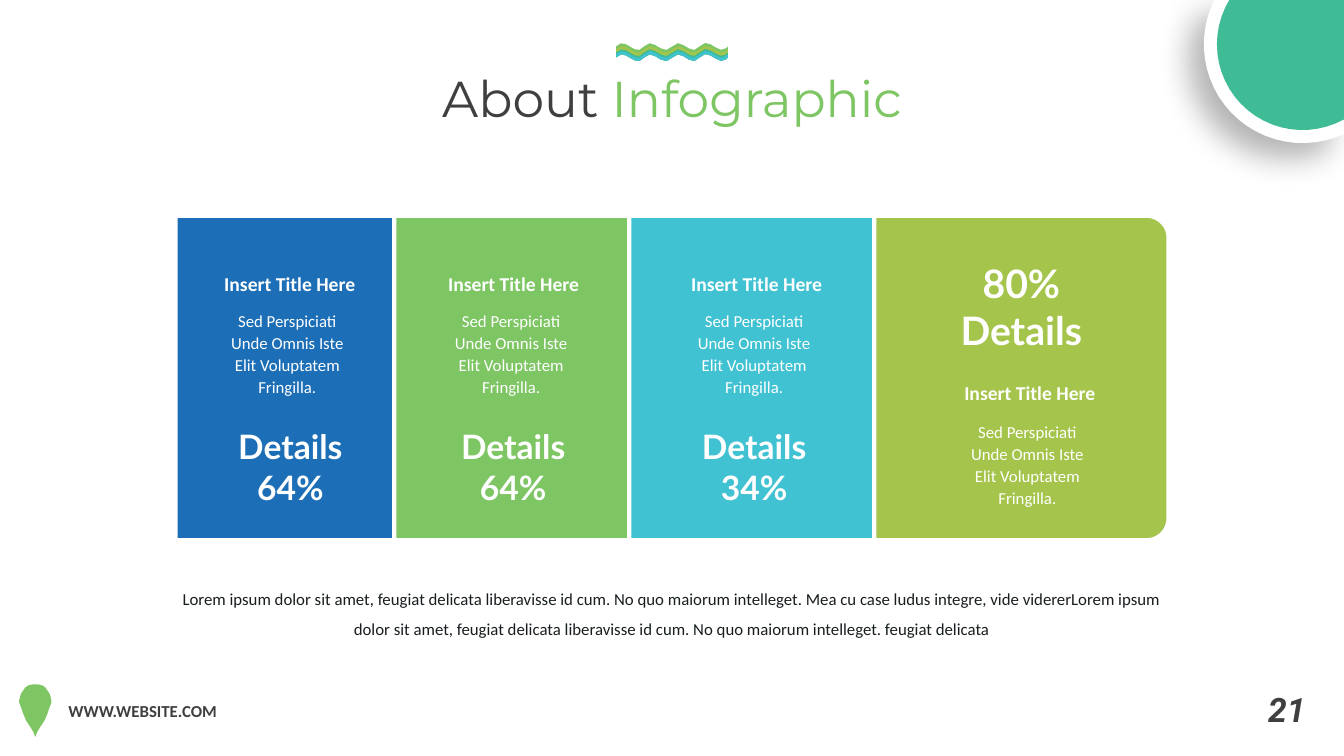
"""Build the "About Infographic" slide with four overlapping cards."""
from dataclasses import dataclass
from math import acos, asin, cos, pi, sin

from lxml.etree import SubElement
from pptx import Presentation
from pptx.dml.color import RGBColor
from pptx.enum.shapes import MSO_SHAPE
from pptx.enum.text import MSO_AUTO_SIZE, PP_ALIGN
from pptx.oxml.ns import qn
from pptx.util import Inches, Pt


@dataclass(frozen=True)
class Theme:
    white: str = "FFFFFF"
    black: str = "000000"
    grey: str = "3F3F3F"
    ink: str = "181E20"
    green: str = "7EC564"
    lime: str = "A5C44B"
    teal: str = "3FBC96"
    cyan: str = "40C2D2"
    blue: str = "1C6EB6"
    title_size: int = 36
    highlight_size: int = 28
    figure_size: int = 24
    heading_size: int = 14
    body_size: int = 12
    body_font: str = "Calibri"
    figure_font: str = "Lato"
    title_font: str = "Montserrat"
    number_font: str = "Roboto"


theme = Theme()
deck = Presentation()
deck.slide_width = Inches(13.33)
deck.slide_height = Inches(7.5)
page = deck.slides.add_slide(deck.slide_layouts[6])


def write(place, lines, size, font, bold=False, italic=False, wrap=True,
          align=PP_ALIGN.CENTER, spacing=1.0):
    """Add a text box; each line is a list of (text, colour) runs."""
    box = page.shapes.add_textbox(*[Inches(length) for length in place])
    frame = box.text_frame
    frame.word_wrap = wrap
    frame.auto_size = MSO_AUTO_SIZE.SHAPE_TO_FIT_TEXT
    for index, line in enumerate(lines):
        para = frame.paragraphs[0] if index == 0 else frame.add_paragraph()
        para.alignment = align
        para.line_spacing = spacing
        for text, colour in line:
            span = para.add_run()
            span.text = text
            span.font.size = Pt(size)
            span.font.name = font
            span.font.bold = bold
            span.font.italic = italic
            span.font.color.rgb = RGBColor.from_string(colour)


def outline(points, colour):
    """Add a filled closed shape through points given in inches."""
    corners = [(Inches(x), Inches(y)) for x, y in points]
    builder = page.shapes.build_freeform(*corners[0])
    builder.add_line_segments(corners[1:], close=True)
    shape = builder.convert_to_shape()
    shape.shadow.inherit = False
    shape.fill.solid()
    shape.fill.fore_color.rgb = RGBColor.from_string(colour)
    shape.line.fill.background()
    return shape


write((12.48, 6.79, 0.59, 0.5), [[("21", theme.grey)]], theme.figure_size,
      theme.number_font, bold=True, italic=True, wrap=False, align=PP_ALIGN.LEFT)

pin_center = 0.35
pin_side = [(0, 6.79), (0.03, 6.79), (0.07, 6.8), (0.1, 6.82), (0.12, 6.85),
            (0.14, 6.88), (0.15, 6.91), (0.16, 6.95), (0.16, 6.97), (0.14, 7.02),
            (0.12, 7.08), (0.09, 7.15), (0.05, 7.21), (0.02, 7.26), (0, 7.31)]
outline([(pin_center + x, y) for x, y in pin_side]
        + [(pin_center - x, y) for x, y in reversed(pin_side[1:-1])], theme.green)
write((0.58, 6.9, 2.53, 0.3), [[("WWW.WEBSITE.COM", theme.grey)]], theme.body_size,
      theme.body_font, bold=True, align=PP_ALIGN.LEFT)

disc_x, disc_y, page_right = 12.92, 0.44, 13.33
arc_steps = 24
for radius, colour in ((0.98, theme.white), (0.85, theme.teal)):
    start = acos((page_right - disc_x) / radius)
    sweep = pi + asin(disc_y / radius) - start
    angles = [start + sweep * step / arc_steps for step in range(arc_steps + 1)]
    arc = [(disc_x + radius * cos(angle), disc_y + radius * sin(angle)) for angle in angles]
    disc = outline(arc + [(page_right, 0)], colour)
    if colour == theme.white:
        effects = disc._element.spPr.find(qn("a:effectLst"))
        shadow = SubElement(effects, qn("a:outerShdw"), blurRad=str(Pt(23)), dist=str(Pt(15)),
                            dir=str(135 * 60000), algn="tr", rotWithShape="0")
        tint = SubElement(shadow, qn("a:srgbClr"), val=theme.black)
        SubElement(tint, qn("a:alpha"), val="29000")

write((4.1, 0.62, 5.13, 0.71), [[("About ", theme.grey), ("Infographic", theme.green)]],
      theme.title_size, theme.title_font, wrap=False)

crest_curves = [
    ((6.16, 0.43), (6.24, 0.42), (6.31, 0.56), (6.39, 0.46)),
    ((6.39, 0.46), (6.48, 0.35), (6.57, 0.58), (6.67, 0.46)),
    ((6.67, 0.46), (6.76, 0.35), (6.85, 0.58), (6.94, 0.46)),
    ((6.94, 0.46), (7.03, 0.35), (7.12, 0.55), (7.2, 0.48)),
]
curve_steps = 5
crest = [(6.11, 0.46)]
for curve in crest_curves:
    for step in range(curve_steps):
        t = step / curve_steps
        weights = ((1 - t) ** 3, 3 * t * (1 - t) ** 2, 3 * t * t * (1 - t), t ** 3)
        crest.append(tuple(sum(weight * point[axis] for weight, point in zip(weights, curve))
                           for axis in range(2)))
crest += [(7.2, 0.48), (7.22, 0.46)]
wave_base = [(x, y + 0.11) for x, y in reversed(crest)]
for drop, colour in ((0, theme.green), (0.03, theme.lime), (0.06, theme.teal), (0.08, theme.cyan)):
    outline([(x, y + drop) for x, y in crest] + wave_base, colour)

card_top, card_height = 2.14, 3.22
for left, width, colour in ((1.74, 3.71, theme.blue), (3.91, 3.68, theme.green),
                            (6.24, 3.68, theme.cyan), (8.67, 2.92, theme.lime)):
    turn = (width - card_height) / 2
    card = page.shapes.add_shape(MSO_SHAPE.ROUND_2_SAME_RECTANGLE, Inches(left + turn),
                                 Inches(card_top - turn), Inches(card_height), Inches(width))
    card.rotation = 90
    card.adjustments[0] = 0.22 / min(width, card_height)
    card.shadow.inherit = False
    card.fill.solid()
    card.fill.fore_color.rgb = RGBColor.from_string(colour)
    card.line.color.rgb = RGBColor.from_string(theme.white)
    card.line.width = Pt(3)

card_body = "Sed Perspiciati Unde Omnis Iste Elit Voluptatem Fringilla."
for left, heading_top, body_top in ((2.12, 2.65, 3.01), (4.34, 2.65, 3.01),
                                    (6.75, 2.65, 3.01), (9.46, 3.73, 4.11)):
    write((left, heading_top, 1.51, 0.34), [[("Insert Title Here", theme.white)]],
          theme.heading_size, theme.body_font, bold=True, wrap=False)
    write((left, body_top, 1.46, 0.98), [[(card_body, theme.white)]],
          theme.body_size, theme.body_font, spacing=1.1)

for left, top, height, lines, size in (
        (2.01, 4.18, 0.91, ("Details", "64%"), theme.figure_size),
        (4.22, 4.18, 0.91, ("Details", "64%"), theme.figure_size),
        (6.61, 4.18, 0.91, ("Details", "34%"), theme.figure_size),
        (9.26, 2.52, 1.04, ("80%", "Details"), theme.highlight_size)):
    write((left, top, 1.74, height), [[(line, theme.white)] for line in lines],
          size, theme.figure_font, bold=True)

summary = ("Lorem ipsum dolor sit amet, feugiat delicata liberavisse id cum. No quo maiorum "
           "intelleget. Mea cu case ludus integre, vide vidererLorem ipsum dolor sit amet, "
           "feugiat delicata liberavisse id cum. No quo maiorum intelleget. feugiat delicata")
write((1.62, 5.69, 10.09, 0.68), [[(summary, theme.ink)]], theme.body_size,
      theme.body_font, spacing=1.5)

deck.save("out.pptx")
